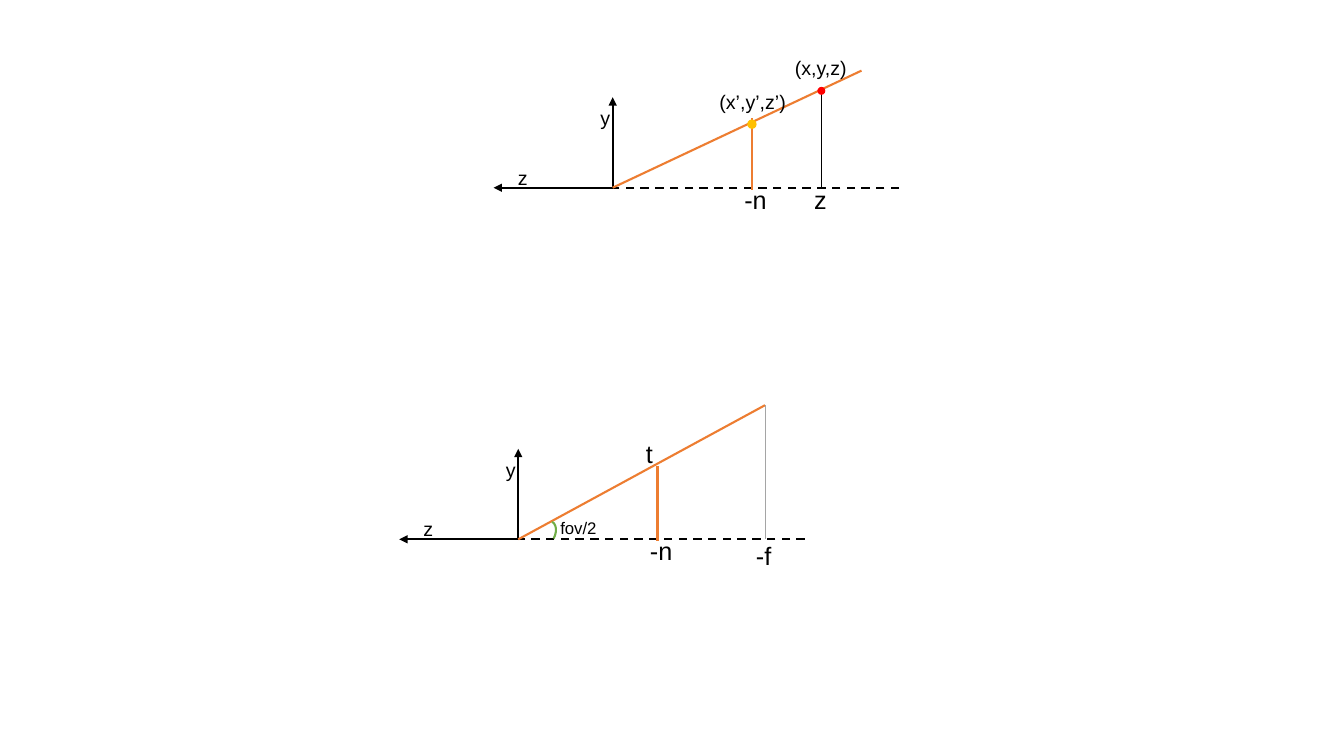
from lxml.etree import SubElement
from pptx import Presentation
from pptx.dml.color import RGBColor
from pptx.enum.dml import MSO_LINE
from pptx.enum.shapes import MSO_CONNECTOR, MSO_SHAPE
from pptx.enum.text import MSO_AUTO_SIZE
from pptx.oxml.ns import qn
from pptx.util import Cm, Pt

COLORS = {
    "axis": "000000",
    "ray": "ED7D31",
    "far": "A5A5A5",
    "point": "FF0000",
    "projection": "FFC000",
    "angle": "70AD47",
}
LABEL_HEIGHTS = {12: 0.76, 14: 0.86, 18: 1.02}
NEAR = 3.51


class Diagram:
    """Draws side-view elements in centimetres relative to a camera origin."""

    font = "Arial"

    def __init__(self, canvas, left, top):
        self.canvas, self.left, self.top = canvas, left, top

    def place(self, x, y):
        return Cm(self.left + x), Cm(self.top + y)

    def color(self, name):
        return RGBColor.from_string(COLORS[name])

    def line(self, start, end, color, width=1.5, dashed=False, arrow=False):
        segment = self.canvas.add_connector(
            MSO_CONNECTOR.STRAIGHT, *self.place(*start), *self.place(*end))
        segment.line.color.rgb = self.color(color)
        segment.line.width = Pt(width)
        if dashed:
            segment.line.dash_style = MSO_LINE.DASH
        properties = segment._element.spPr
        if arrow:
            SubElement(properties.find(qn("a:ln")), qn("a:tailEnd"), type="triangle")
        SubElement(properties, qn("a:effectLst"))

    def label(self, text, x, y, width, size=18, wrap=False):
        box = self.canvas.add_textbox(
            *self.place(x, y), Cm(width), Cm(LABEL_HEIGHTS[size]))
        frame = box.text_frame
        frame.text = text
        frame.word_wrap = wrap
        frame.auto_size = MSO_AUTO_SIZE.SHAPE_TO_FIT_TEXT
        font = frame.paragraphs[0].runs[0].font
        font.name, font.size = self.font, Pt(size)
        font.color.rgb = self.color("axis")

    def dot(self, x, y, color, outlined=False):
        size = Cm(0.2)
        marker = self.canvas.add_shape(
            MSO_SHAPE.OVAL, *self.place(x - 0.1, y - 0.1), size, size)
        marker.shadow.inherit = False
        marker.fill.solid()
        marker.fill.fore_color.rgb = self.color(color)
        if outlined:
            marker.line.color.rgb = self.color(color)
            marker.line.width = Pt(1)
        else:
            marker.line.fill.background()

    def angle(self, x, y, width, height, rotation):
        arc = self.canvas.add_shape(
            MSO_SHAPE.ARC, *self.place(x, y), Cm(width), Cm(height))
        arc.shadow.inherit = False
        arc.rotation = rotation
        arc.fill.background()
        arc.line.color.rgb = self.color("angle")
        arc.line.width = Pt(1.5)

    def view(self, ray_end, near_top):
        self.line((0, 0), (-3, 0), "axis", arrow=True)
        self.line((0, 0), (0, -2.28), "axis", arrow=True)
        self.line((7.22, 0), (0, 0), "axis", dashed=True)
        self.line((0, 0), ray_end, "ray")
        self.line((NEAR, near_top), (NEAR, 0.05), "ray")
        self.label("-n", 3.07, -0.22, 1.09)
        self.label("y", -0.56, -2.18, 0.61, 14, True)
        self.label("z", -2.64, -0.68, 0.61, 14, True)


def main():
    deck = Presentation()
    deck.slide_width, deck.slide_height = Cm(33.87), Cm(19.05)
    slide = deck.slides.add_slide(deck.slide_layouts[6])

    projection = Diagram(slide.shapes.add_group_shape().shapes, 15.44, 4.73)
    projection.view((6.27, -2.95), -1.75)
    projection.line((5.26, -2.41), (5.26, 0), "axis", 0.5)
    projection.label("(x,y,z)", 4.34, -3.45, 1.83, 14)
    projection.dot(5.26, -2.44, "point")
    projection.label("z", 4.83, -0.2, 0.84)
    projection.dot(NEAR, -1.6, "projection", outlined=True)
    projection.label("(x’,y’,z’)", 2.44, -2.59, 2.18, 14)

    far_corner = (6.22, -3.38)
    frustum = Diagram(slide.shapes, 13.06, 13.59)
    frustum.view(far_corner, -1.85)
    frustum.line(far_corner, (6.22, 0), "far", 0.5)
    frustum.label("-f", 5.74, -0.1, 0.97, wrap=True)
    frustum.label("t", 2.97, -2.67, 0.69)
    frustum.angle(0.46, -0.48, 0.46, 0.71, 27.5)
    frustum.label("fov/2", 0.81, -0.66, 1.45, 12)

    deck.save("out.pptx")


if __name__ == "__main__":
    main()
